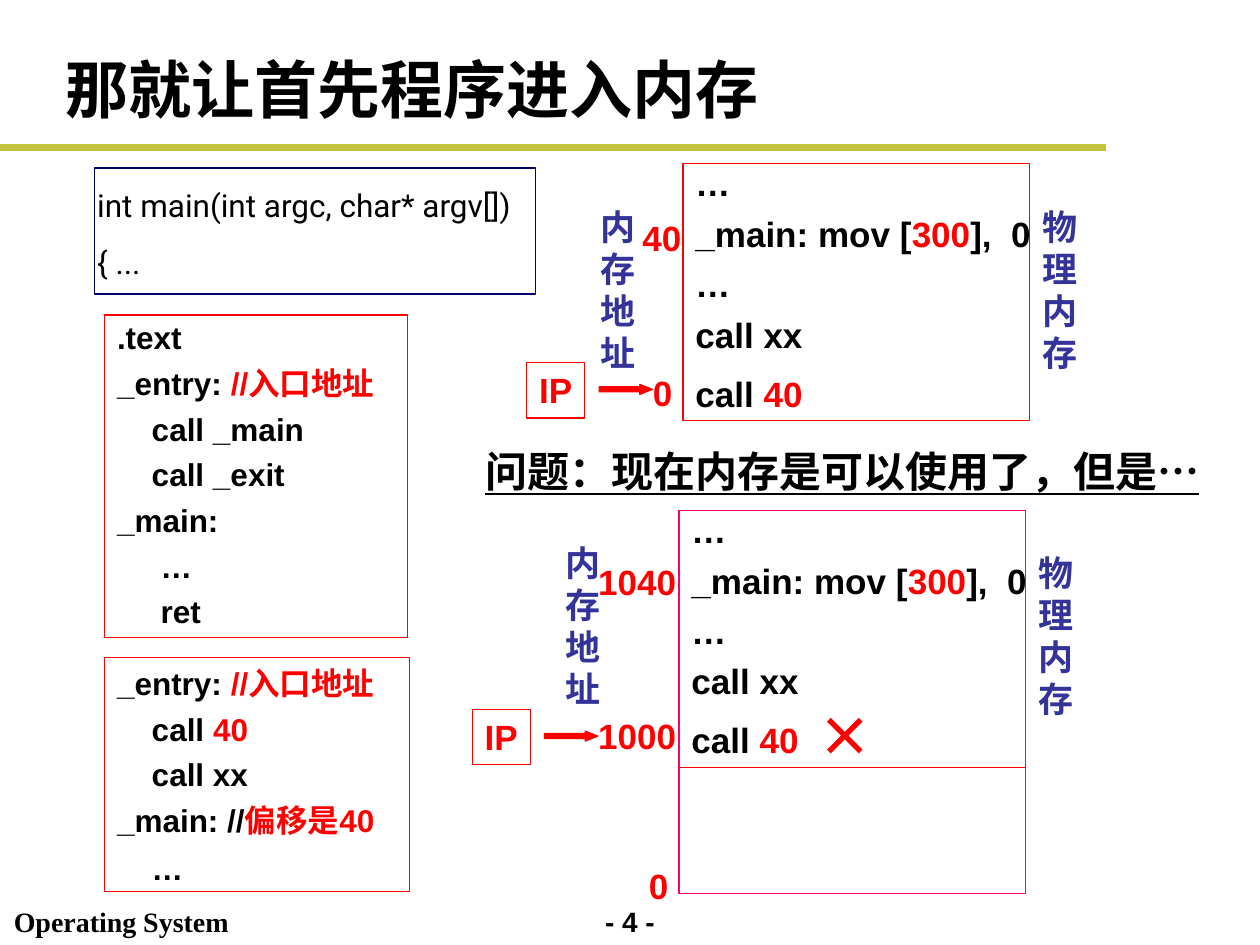
from lxml.etree import SubElement
from pptx import Presentation
from pptx.dml.color import RGBColor
from pptx.enum.shapes import MSO_CONNECTOR, MSO_SHAPE
from pptx.enum.text import MSO_ANCHOR, PP_ALIGN
from pptx.oxml.ns import qn
from pptx.util import Cm, Pt

BLACK = RGBColor(0x00, 0x00, 0x00)
WHITE = RGBColor(0xFF, 0xFF, 0xFF)
RED = RGBColor(0xFF, 0x00, 0x00)
PINK = RGBColor(0xFF, 0x00, 0x66)
NAVY = RGBColor(0x00, 0x00, 0x66)
INDIGO = RGBColor(0x33, 0x33, 0x99)
OLIVE = RGBColor(0xC1, 0xC4, 0x3C)

STEP, DEEP_STEP = 0.7, 0.88  # code indents in cm
ENTRY_LISTING = [(0, ".text"), (0, "_entry: |//入口地址"), (STEP, "call _main"),
                 (STEP, "call _exit"), (0, "_main:"), (DEEP_STEP, "…"),
                 (DEEP_STEP, "ret")]
OFFSET_LISTING = [(0, "_entry: |//入口地址"), (STEP, "call |40"), (STEP, "call xx"),
                  (0, "_main: //|偏移是40"), (STEP, "…")]
MEMORY_LISTING = [(0, "…"), (0, "_main: mov [|300|],  0"), (0, "…"),
                  (0, "call xx"), (0, "call |40")]


def area(left, top, width, height):
    return Cm(left), Cm(top), Cm(width), Cm(height)


def write(frame, rows, color=BLACK, font=None, para_format=None, last_before=None):
    """Fill a frame with (indent, text) rows; every second part between bars is red."""
    font = {"name": "Arial", "size": Pt(20), "bold": True, **(font or {})}
    for index, (indent, text) in enumerate(rows):
        para = frame.add_paragraph() if index else frame.paragraphs[0]
        for name, value in (para_format or {}).items():
            setattr(para, name, value)
        if indent:
            props = para._p.get_or_add_pPr()
            props.set("marL", str(Cm(indent)))
            props.set("indent", "0")
        for number, part in enumerate(text.split("|")):
            span = para.add_run()
            span.text = part
            for name, value in font.items():
                setattr(span.font, name, value)
            span.font.color.rgb = RED if number % 2 else color
    if last_before:
        para.space_before = Pt(last_before)


def add_text(page, box, rows, **style):
    frame = page.shapes.add_textbox(*area(*box)).text_frame
    frame.word_wrap = True
    write(frame, rows, **style)


def add_block(page, box, line, fill=None, kind=MSO_SHAPE.RECTANGLE):
    block = page.shapes.add_shape(kind, *area(*box))
    block.shadow.inherit = False
    if fill is None:
        block.fill.background()
    else:
        block.fill.solid()
        block.fill.fore_color.rgb = fill
    block.line.color.rgb = line
    block.line.width = Pt(0.75)
    return block


def add_line(page, start, end, color, width):
    line = page.shapes.add_connector(
        MSO_CONNECTOR.STRAIGHT, *(Cm(value) for value in (*start, *end)))
    line.line.color.rgb = color
    line.line.width = Pt(width)
    SubElement(line._element.spPr, qn("a:effectLst"))


def add_heading(page, left, top, width, height):
    title = page.shapes.title
    title.left, title.top, title.width, title.height = area(left, top, width, height)
    title.text_frame.vertical_anchor = MSO_ANCHOR.MIDDLE
    write(title.text_frame, [(0, "那就让首先程序进入内存")], font={"size": Pt(36)},
          para_format={"alignment": PP_ALIGN.LEFT})
    add_line(page, (0, 2.97), (22.3, 2.97), OLIVE, 4)


def add_footer(page, top):
    add_text(page, (0.03, top, 6.5, 0.94), [(0, "Operating System")],
             font={"name": "Times New Roman", "size": Pt(16)})
    add_text(page, (11.43, top, 2.54, 0.94), [(0, "- 4 -")], font={"size": Pt(16)},
             para_format={"alignment": PP_ALIGN.CENTER})


def add_source(page, left, top, width, height):
    add_block(page, (left, top, width, height), NAVY, WHITE)
    add_text(page, (left - 0.2, top + 0.23, width + 0.63, 2.18),
             [(0, "int main(int argc, char* argv[])"), (0, "{ ...")],
             font={"name": "Roboto", "size": Pt(18), "bold": False},
             para_format={"space_before": Pt(11.2)})


def add_listing(page, left, top, width, height, rows, shift=0, last_before=None):
    add_block(page, (left, top, width, height), RED, WHITE)
    add_text(page, (left, top + shift, width + 0.6, height), rows,
             font={"size": Pt(18)}, para_format={"space_before": Pt(4.5)},
             last_before=last_before)


def add_memory(page, left, top, width, height, label, main, entry, pointer):
    """Memory contents with labels; label, main, entry and pointer are offsets."""
    add_block(page, (left, top, width, height), RED, WHITE)
    add_text(page, (left, top - 0.33, width + 0.43, height + 0.33), MEMORY_LISTING,
             para_format={"line_spacing": 1.2}, last_before=5)
    # Vertical labels
    for text, x, y in (("物理内存", width, 0.71), ("内存地址", *label)):
        add_text(page, (left + x, top + y, 1.47, 3.66), [(0, text)], color=INDIGO)
    # Addresses
    for text, x, y, address_width in (main, entry):
        add_text(page, (left + x, top + y, address_width, 1.12), [(0, text)], color=RED)
    # Instruction pointer and its arrow
    frame = add_block(page, (left + pointer, top + 4.01, 1.17, 1.12), RED).text_frame
    frame.word_wrap = False
    frame.vertical_anchor = MSO_ANCHOR.TOP
    write(frame, [(0, "IP")], color=RED, para_format={"alignment": PP_ALIGN.CENTER})
    arrow = add_block(page, (left + pointer + 1.46, top + 4.45, 1.07, 0.2), RED, RED,
                      MSO_SHAPE.RIGHT_ARROW)
    arrow.adjustments[1] = 1.25


def add_moved_memory(page, left, top, width, height):
    add_memory(page, left, top, width, 5.18, (-2.54, 0.51),
               ("1040", -1.88, 0.89, 2.34), ("1000", -1.88, 3.99, 2.11), -4.17)
    add_block(page, (left, top, width, height), PINK)
    add_text(page, (left - 0.86, top + 7.01, 1.07, 1.12), [(0, "0")], color=RED)
    # Cross beside the wrong call
    x, y, size = left + 3.02, top + 4.22, 0.64
    add_line(page, (x + size, y), (x, y + size), RED, 3)
    add_line(page, (x, y), (x + size, y + size), RED, 3)


def main():
    deck = Presentation()
    deck.slide_width, deck.slide_height = Cm(25.4), Cm(19.05)
    page = deck.slides.add_slide(deck.slide_layouts[5])

    add_heading(page, 1.07, 0.84, 21.79, 1.88)
    add_footer(page, 18.11)

    # Code on the left
    add_source(page, 1.91, 3.39, 8.89, 2.54)
    add_listing(page, 2.11, 6.35, 6.1, 6.5, ENTRY_LISTING, shift=-0.06)
    add_listing(page, 2.11, 13.26, 6.15, 4.72, OFFSET_LISTING, last_before=6)

    # Memory on the right, before and after the move
    add_memory(page, 13.77, 3.3, 6.99, 5.18, (-1.91, 0.71),
               ("40", -1.07, 0.94, 1.91), ("0", -0.86, 4.06, 1.47), -3.15)
    add_text(page, (8.26, 8.46, 16.3, 1.68),
             [(1.27, "问题：现在内存是可以使用了，但是…")],
             font={"size": Pt(24), "underline": True},
             para_format={"line_spacing": 1.4})
    add_moved_memory(page, 13.69, 10.29, 6.99, 7.72)

    deck.save("out.pptx")


if __name__ == "__main__":
    main()
